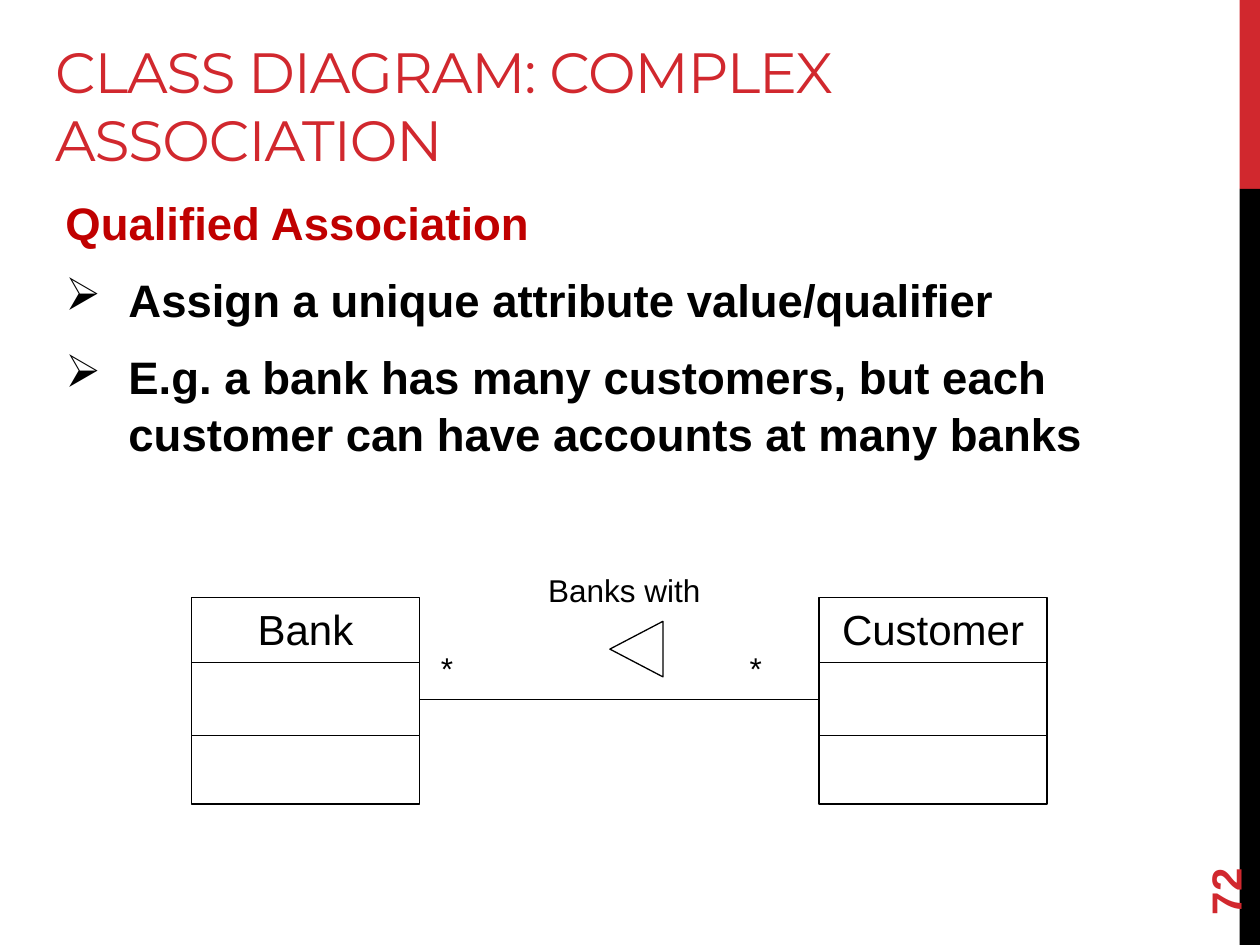
from lxml.etree import SubElement as Sub
from pptx import Presentation
from pptx.dml.color import RGBColor as RGB
from pptx.enum.shapes import MSO_CONNECTOR as LINE, MSO_SHAPE as SHAPE
from pptx.enum.text import MSO_ANCHOR as ANCHOR, PP_ALIGN as ALIGN
from pptx.oxml.ns import qn
from pptx.util import Cm, Pt

# Content
TITLE = "CLASS DIAGRAM: COMPLEX ASSOCIATION"
HEAD = "Qualified Association"
POINTS = [
    "Assign a unique attribute value/qualifier",
    "E.g. a bank has many customers, but each customer can have accounts at many banks",
]
CLASSES = [("Bank", 3.86), ("Customer", 16.51)]  # name, left
LABELS = [("Banks with", 10.8, 11.38, 4.09),  # text, left, top, width
          ("*", 8.64, 12.95, 1.8), ("*", 14.86, 12.95, 1.8)]
PAGE = "72"
COLORS = {"red": "D1282E", "dark": "C00000", "black": "000000", "white": "FFFFFF"}

# Sizes in cm
WIDE, HIGH = 25.4, 19.05
BAR, SPLIT = 0.41, 3.81
BOX_W, BOX_H, BOX_Y = 4.6, 4.17, 12.04
MID_Y, MID_H = 13.36, 1.47

deck = Presentation()
deck.slide_width, deck.slide_height = Cm(WIDE), Cm(HIGH)
slide = deck.slides.add_slide(deck.slide_layouts[6])
shapes = slide.shapes


def color(name):
    return RGB.from_string(COLORS[name])


def write(frame, text, size=18, tint="black", font="Arial", bold=False,
          align=ALIGN.LEFT, track=None, more=False):
    """Fill the first paragraph, or add one more, and return it."""
    para = frame.add_paragraph() if more else frame.paragraphs[0]
    para.alignment = align
    run = para.add_run()
    run.text = text
    run.font.size, run.font.name, run.font.bold = Pt(size), font, bold
    run.font.color.rgb = color(tint)
    if track is not None:
        run._r.get_or_add_rPr().set("spc", str(track))
    return para


def text_box(x, y, w, h, anchor=ANCHOR.TOP):
    box = shapes.add_textbox(Cm(x), Cm(y), Cm(w), Cm(h))
    box.text_frame.word_wrap = True
    box.text_frame.vertical_anchor = anchor
    return box


def draw(kind, x, y, w, h, fill="white", line="black"):
    part = shapes.add_shape(kind, Cm(x), Cm(y), Cm(w), Cm(h))
    part.shadow.inherit = False
    part.fill.solid()
    part.fill.fore_color.rgb = color(fill)
    if line:
        part.line.color.rgb = color(line)
        part.line.width = Pt(0.75)
    else:
        part.line.fill.background()
    return part


# Side bar
draw(SHAPE.RECTANGLE, WIDE - BAR, 0, BAR, SPLIT, "red", None)
draw(SHAPE.RECTANGLE, WIDE - BAR, SPLIT, BAR, HIGH - SPLIT, "black", None)

# Title
title = text_box(0.86, 0.43, 23.93, 3.18, ANCHOR.BOTTOM)
write(title.text_frame, TITLE, size=32.4, tint="red", font="Montserrat", track=-60)

# Body
body = text_box(1.07, 3.76, 23.06, 12.04).text_frame
paras = [write(body, HEAD, size=26, tint="dark", bold=True)]
for point in POINTS:
    para = write(body, point, size=26, bold=True, more=True)
    props = para._p.get_or_add_pPr()
    props.set("marL", str(Cm(1.27)))
    props.set("indent", str(-Cm(1.27)))
    paras.append(para)
for para in paras:
    para.line_spacing = 1.05
    para.space_before, para.space_after = Pt(5.2), Pt(6)
for para in paras[1:]:
    Sub(para._p.get_or_add_pPr(), qn("a:buChar")).set("char", "➢")

# Page number
page = text_box(22.86, 16.36, 3.66, 1.02, ANCHOR.MIDDLE)
page.rotation = 270
write(page.text_frame, PAGE, size=24, tint="red", bold=True)

# Classes
mids = []
for name, x in CLASSES:
    box = draw(SHAPE.RECTANGLE, x, BOX_Y, BOX_W, BOX_H)
    box.text_frame.vertical_anchor = ANCHOR.TOP
    write(box.text_frame, name, size=24, align=ALIGN.CENTER)
    mids.append(draw(SHAPE.RECTANGLE, x, MID_Y, BOX_W, MID_H))

# Association
link = shapes.add_connector(LINE.STRAIGHT, 0, 0, 0, 0)
link.begin_connect(mids[0], 3)
link.end_connect(mids[1], 1)
link.line.color.rgb = color("black")
link.line.width = Pt(0.25)
Sub(link._element.spPr, qn("a:effectLst"))
arrow = draw(SHAPE.ISOSCELES_TRIANGLE, 12.27, 12.55, 1.12, 1.07)
arrow.rotation = 270
for text, x, y, w in LABELS:
    write(text_box(x, y, w, 1.02).text_frame, text)

deck.save("out.pptx")
